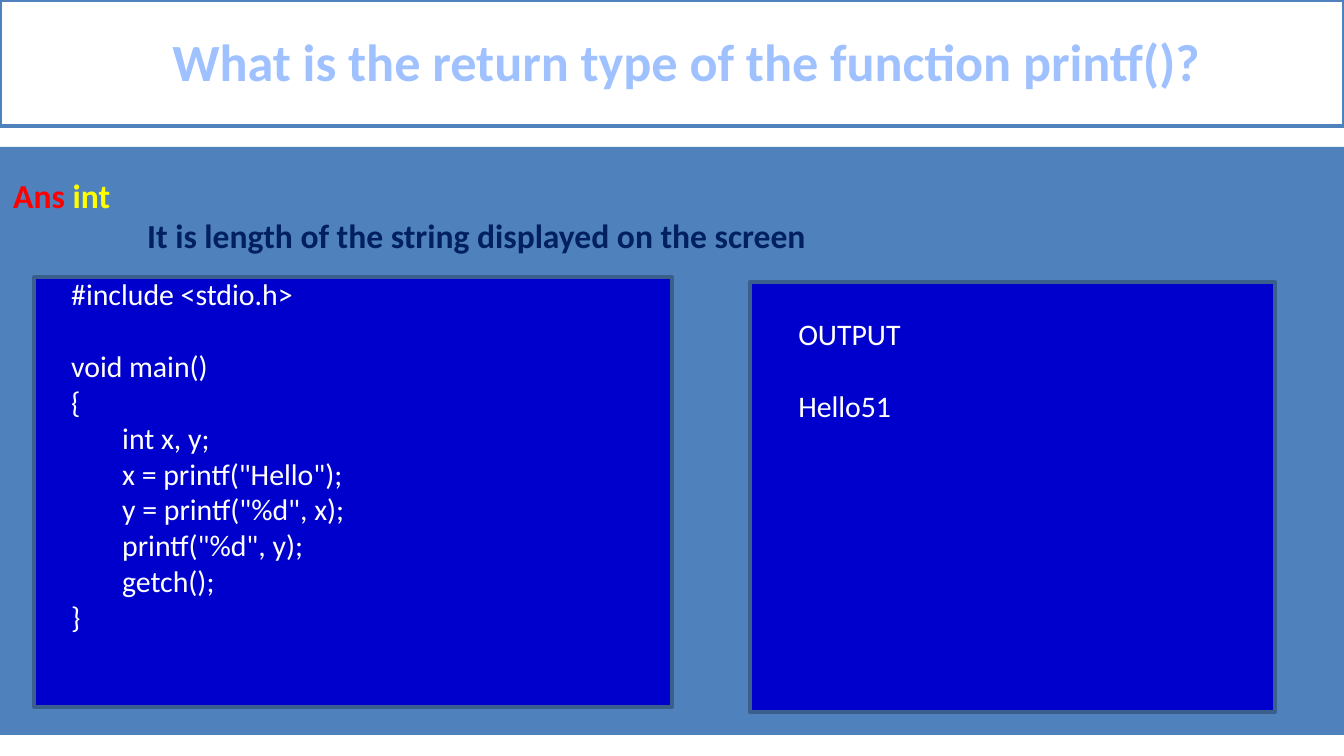
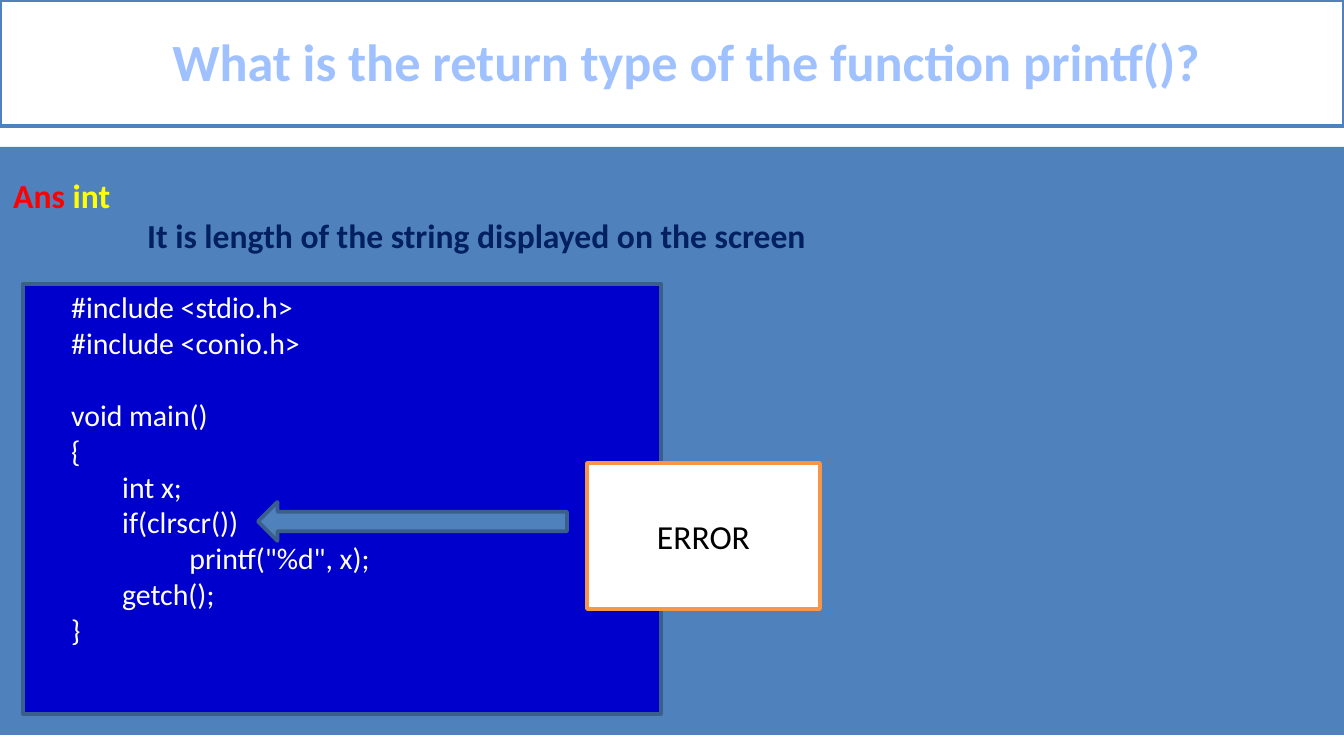
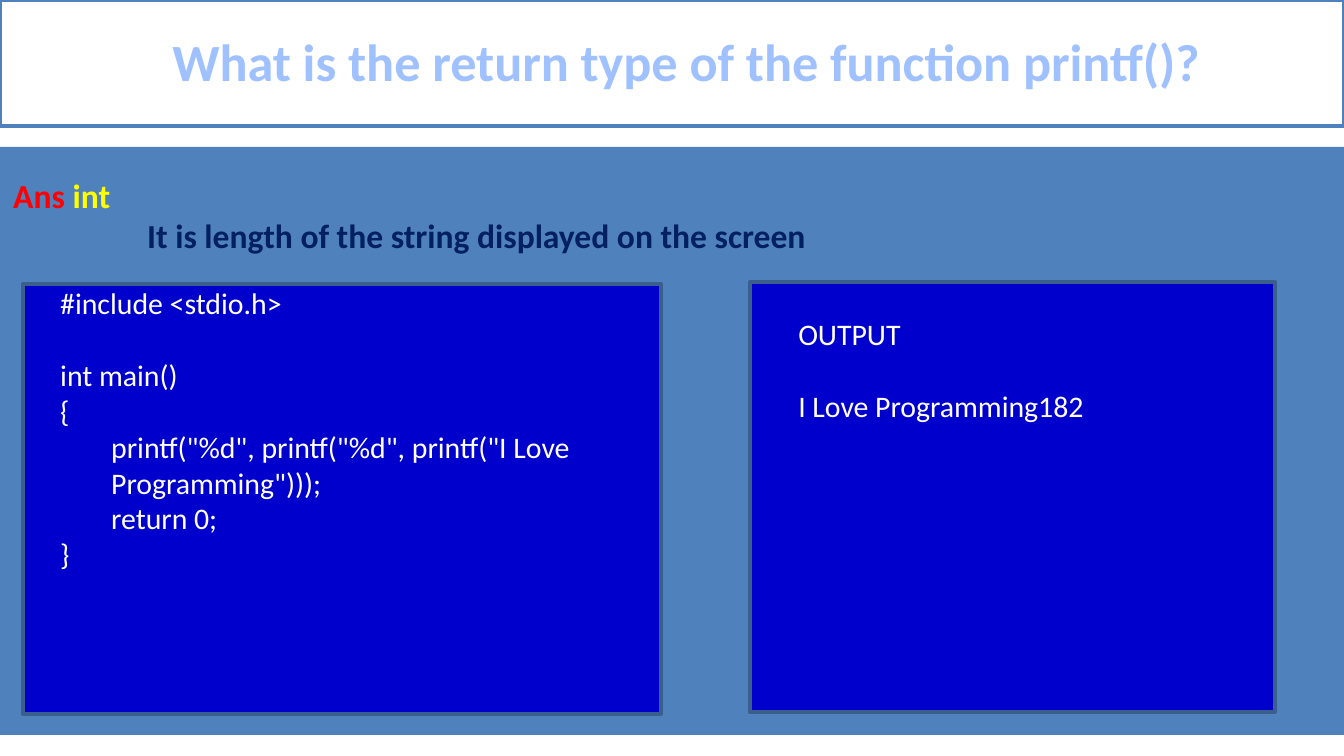
from pptx import Presentation
from pptx.dml.color import RGBColor
from pptx.enum.shapes import MSO_SHAPE
from pptx.enum.text import MSO_ANCHOR, PP_ALIGN
from pptx.util import Emu, Pt

WHITE, BLUE, NAVY, EDGE = "FFFFFF", "4F81BD", "0000CC", "3A5F8C"
TITLE = "What is the return type of the function printf()?"
LINE_H = 36
HANG = 51
TAB = 134

SIMPLE_CODE = """#include <stdio.h>

void main()
{
\tint x, y;
\tx = printf("Hello");
\ty = printf("%d", x);
\tprintf("%d", y);
\tgetch();
}"""

ERROR_CODE = """#include <stdio.h>
#include <conio.h>

void main()
{
\tint x;
\tif(clrscr())
\t\tprintf("%d", x);
\tgetch();
}"""

NESTED_CODE = """#include <stdio.h>

int main()
{
\tprintf("%d", printf("%d", printf("I Love Programming")));
\treturn 0;
}"""


def px(n):
    """Turn pixels into EMU."""
    return Emu(round(n * 914400 / 134.4))


def rgb(color):
    """Turn a hex string into a colour."""
    return RGBColor.from_string(color)


def add_box(s, box, fill, line=None, kind=MSO_SHAPE.RECTANGLE):
    """Draw a flat filled shape with an optional outline."""
    sp = s.shapes.add_shape(kind, *map(px, box))
    sp.shadow.inherit = False
    sp.fill.solid()
    sp.fill.fore_color.rgb = rgb(fill)
    if line:
        sp.line.color.rgb = rgb(line)
        sp.line.width = Pt(2)
    else:
        sp.line.fill.background()
    return sp


def add_frame(s, box):
    """Add a wrapping text box and return its text frame."""
    tf = s.shapes.add_textbox(*map(px, box)).text_frame
    tf.word_wrap = True
    return tf


def add_text(p, text, size=18, color=WHITE, bold=False, align=None, left=0, indent=0):
    """Append a formatted run to a paragraph and set its layout."""
    pPr = p._p.get_or_add_pPr()
    pPr.set("marL", str(px(left)))
    pPr.set("indent", str(px(indent)))
    if align is not None:
        p.alignment = align
    r = p.add_run()
    r.text = text
    r.font.name = "Calibri"
    r.font.size = Pt(size)
    r.font.bold = bold
    r.font.color.rgb = rgb(color)


def add_label(s, box, text, line, **fmt):
    """Draw a white outlined box with centred text."""
    tf = add_box(s, box, WHITE, line).text_frame
    tf.word_wrap = True
    tf.vertical_anchor = MSO_ANCHOR.MIDDLE
    p = tf.paragraphs[0]
    add_text(p, text, align=PP_ALIGN.CENTER, **fmt)
    return p


def add_base(prs):
    """Add a slide with the blue body and the title band."""
    s = prs.slides.add_slide(prs.slide_layouts[6])
    add_box(s, (0, 147, 1344, 588), BLUE)
    p = add_label(s, (0, 0, 1344, 126), TITLE, BLUE, size=28, color="A0C1FF",
                  bold=True, left=28)
    p.line_spacing = 0.96
    return s


def add_answer(s, box):
    """Write the answer and its explanation."""
    tf = add_frame(s, box)
    p = tf.paragraphs[0]
    add_text(p, "Ans", color="FF0000", bold=True)
    add_text(p, " int", color="FFFF00", bold=True)
    add_text(tf.add_paragraph(), "It is length of the string displayed on the screen",
             color="002060", bold=True, left=TAB)


def add_panel(s, box, text, dx, dy, text_w):
    """Draw a dark panel with lines of text offset from its corner."""
    x, y, _, _ = box
    add_box(s, box, NAVY, EDGE)
    lines = text.split("\n")
    tf = add_frame(s, (x + dx, y + dy, text_w, LINE_H * len(lines) + 14))
    p, gap = tf.paragraphs[0], False
    for i, line in enumerate(lines):
        if not line:
            gap = True
            continue
        if i:
            p = tf.add_paragraph()
        add_text(p, line, size=16, left=HANG, indent=-HANG)
        if gap:
            p.space_before = Pt(19.5)
            gap = False


def add_code(s, x, y, code, dx, dy):
    """Draw the code panel."""
    add_panel(s, (x, y, 638, 430), code, dx, dy, 593)


def add_output(s, result):
    """Draw the panel with the program's output."""
    add_panel(s, (750, 282, 525, 430), f"OUTPUT\n\n{result}", 35, 27, 473)


def add_error(s, box):
    """Draw the error box and the arrow that points left from it."""
    x, y, _, _ = box
    add_label(s, box, "ERROR", "F79646", color="000000")
    add_box(s, (x - 329, y + 39, 309, 39), BLUE, EDGE, MSO_SHAPE.LEFT_ARROW)


def add_example(prs, x, y, code, dx, dy):
    """Add a slide with its code panel and answer."""
    s = add_base(prs)
    add_code(s, x, y, code, dx, dy)
    add_answer(s, (0, 168, 1344, 95))
    return s


def main():
    """Build the presentation."""
    prs = Presentation()
    prs.slide_width, prs.slide_height = px(1344), px(756)
    s = add_example(prs, 34, 277, SIMPLE_CODE, 24, -8)
    add_output(s, "Hello51")
    s = add_example(prs, 23, 284, ERROR_CODE, 35, -2)
    add_error(s, (587, 463, 233, 146))
    s = add_example(prs, 23, 284, NESTED_CODE, 24, -6)
    add_output(s, "I Love Programming182")
    prs.save("out.pptx")


if __name__ == "__main__":
    main()
